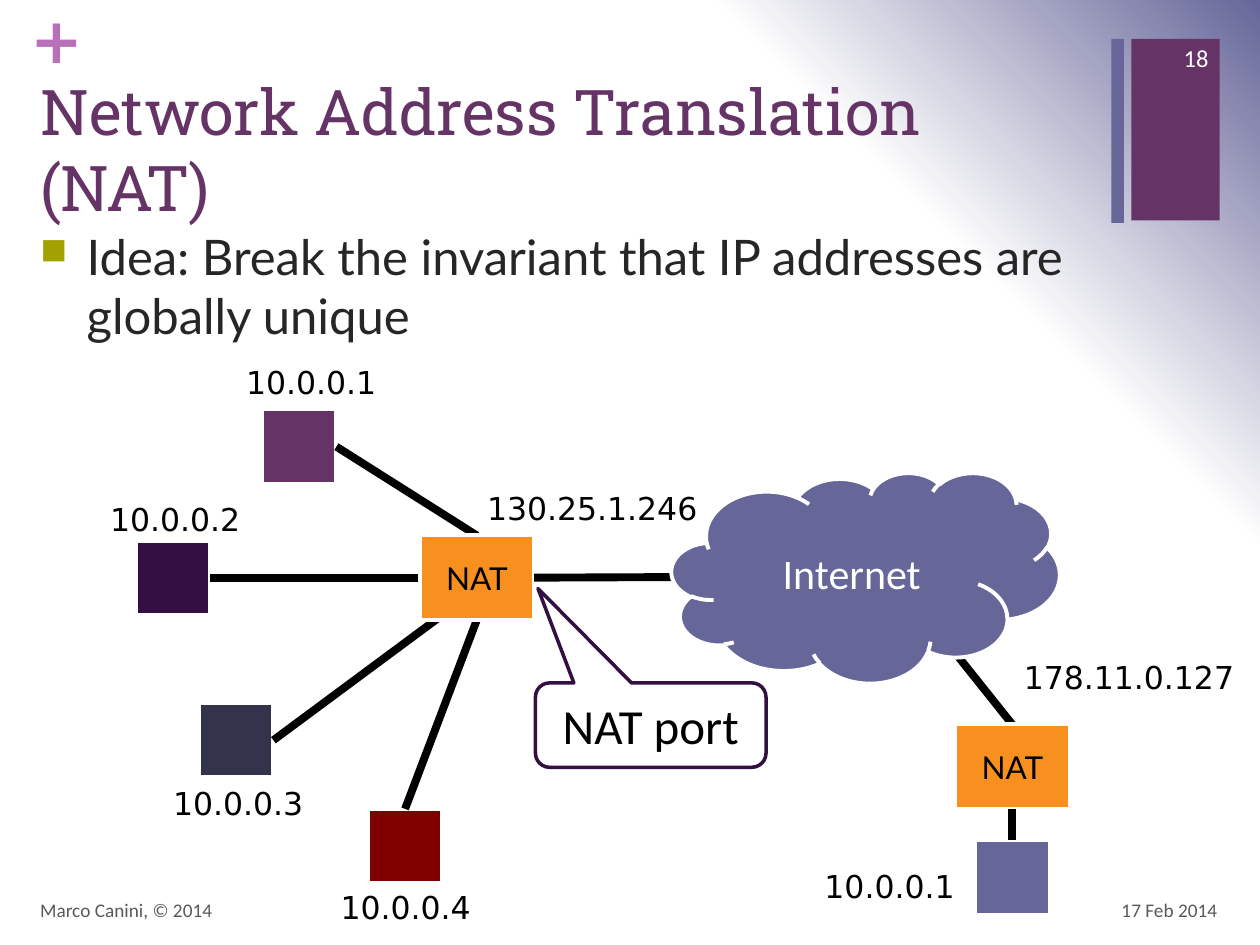
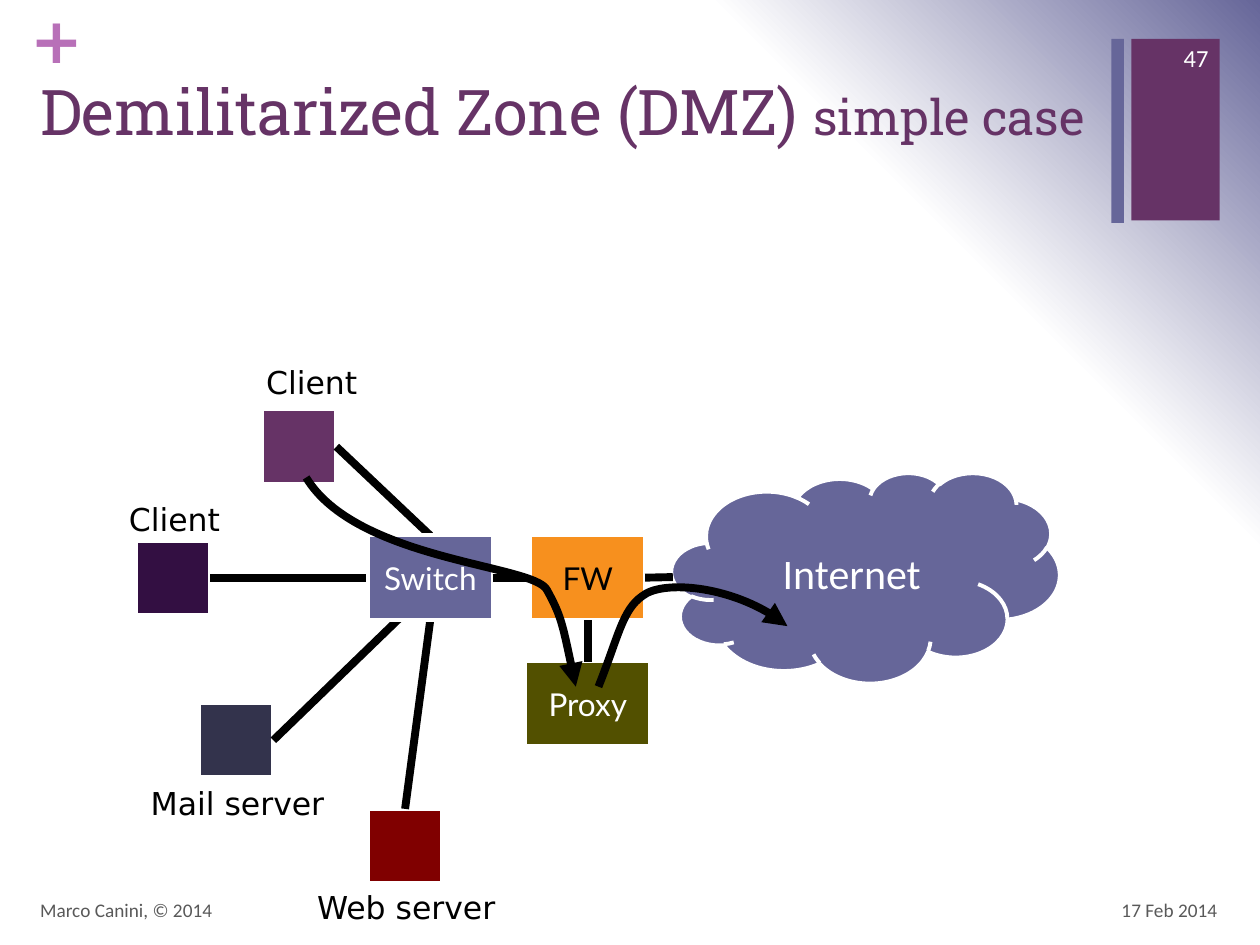
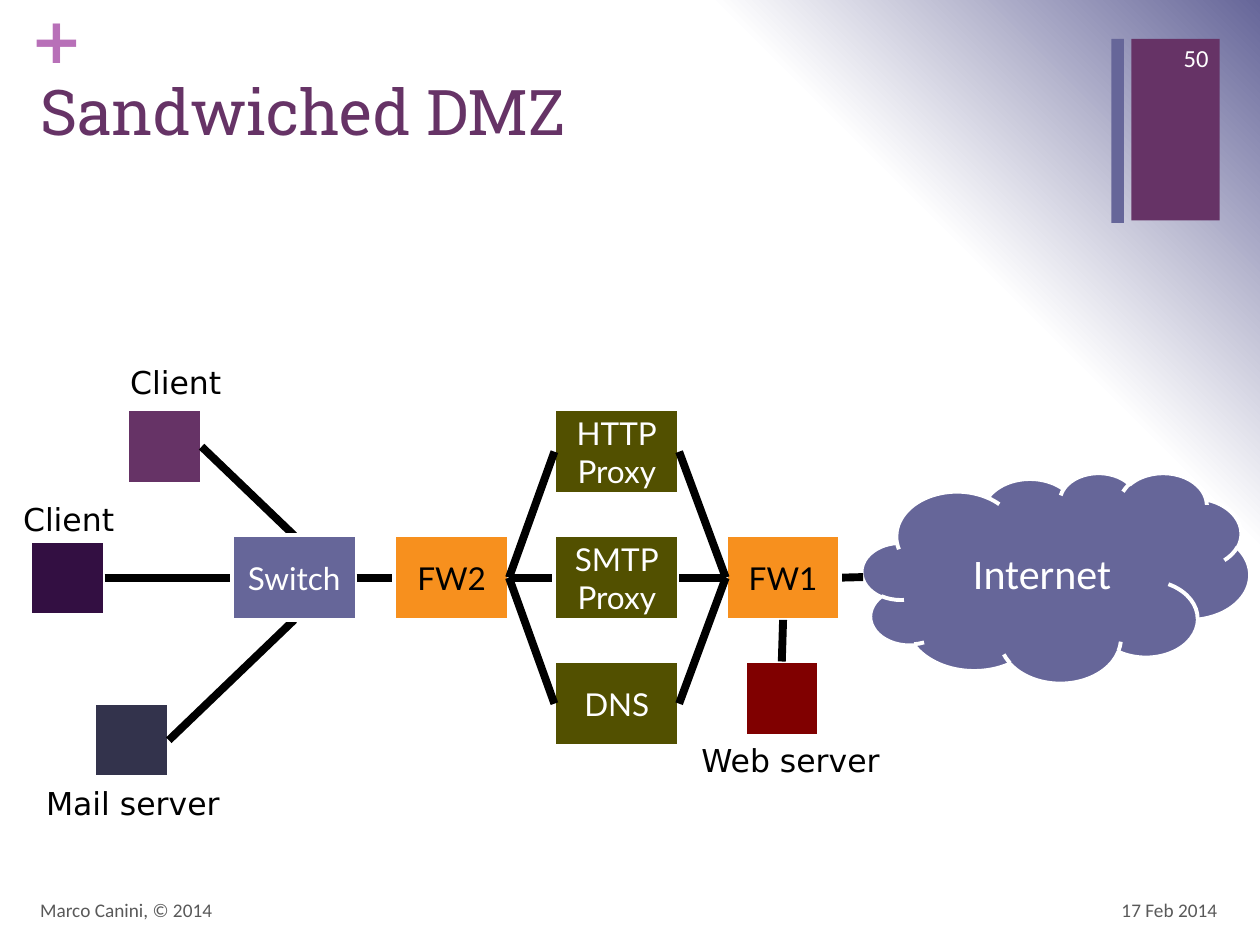
from dataclasses import dataclass

from lxml import etree
from pptx import Presentation
from pptx import util as u
from pptx.dml.color import RGBColor
from pptx.enum import shapes, text
from pptx.oxml import parse_xml
from pptx.oxml.ns import nsdecls, qn


@dataclass(frozen=True)
class Theme:
    plum: str = "663366"
    violet: str = "666699"
    grape: str = "330F42"
    slate: str = "33334C"
    maroon: str = "800000"
    orange: str = "F7901E"
    olive: str = "525000"
    lilac: str = "B870B8"
    bullet: str = "A3A101"
    ink: str = "262626"
    grey: str = "595959"
    black: str = "000000"
    white: str = "FFFFFF"
    heading: str = "Roboto Slab"
    body: str = "Lato"
    plain: str = "Calibri"
    label: str = "DejaVu Sans"
    title_size: int = 36
    large: int = 28
    cloud_size: int = 24
    node_size: int = 18
    number_size: int = 14
    footer_size: int = 11
    outline: float = 2.25
    wire: float = 4.5


T = Theme()
WIDTH, HEIGHT = 10, 7.5
AUTHOR, DATE = "Marco Canini, © 2014", "17 Feb 2014"
LEFT, CENTER, RIGHT = text.PP_ALIGN.LEFT, text.PP_ALIGN.CENTER, text.PP_ALIGN.RIGHT
TOP, MIDDLE = text.MSO_ANCHOR.TOP, text.MSO_ANCHOR.MIDDLE
SIDES = {"top": 0, "left": 1, "bottom": 2, "right": 3}
PRESET = shapes.MSO_SHAPE

HOST, GATE, WIDE = (0.59, 0.59), (0.91, 0.67), (0.99, 0.67)
NODE_FONT = (T.body, T.node_size)
KINDS = {
    "plum": (PRESET.RECTANGLE, HOST, T.plum, T.white, NODE_FONT),
    "grape": (PRESET.RECTANGLE, HOST, T.grape, T.white, NODE_FONT),
    "slate": (PRESET.RECTANGLE, HOST, T.slate, T.white, NODE_FONT),
    "maroon": (PRESET.RECTANGLE, HOST, T.maroon, T.white, NODE_FONT),
    "violet": (PRESET.RECTANGLE, HOST, T.violet, T.white, NODE_FONT),
    "gate": (PRESET.RECTANGLE, GATE, T.orange, T.black, NODE_FONT),
    "switch": (PRESET.RECTANGLE, WIDE, T.violet, T.white, NODE_FONT),
    "proxy": (PRESET.RECTANGLE, WIDE, T.olive, T.white, NODE_FONT),
    "cloud": (PRESET.CLOUD, (3.08, 1.67), T.violet, T.white, (T.plain, T.cloud_size)),
    "note": (PRESET.ROUNDED_RECTANGULAR_CALLOUT, (1.83, 0.67), T.white, T.black, (T.plain, T.large)),
}
NOTE_TIP = (-0.489, -1.618, 0.167)
LABEL_WIDTHS = {"Client": 0.93, "Mail server": 1.59, "Web server": 1.63,
                "130.25.1.246": 1.92, "178.11.0.127": 1.92}
ADDRESS_WIDTH = 1.28

ROWS = (3.25, 4.25, 5.25)
OFFICE = {
    "second": ("grape", 1.08, 4.29, ""),
    "third": ("slate", 1.58, 5.58, ""),
    "fourth": ("maroon", 2.92, 6.42, ""),
    "first": ("plum", 2.08, ROWS[0], ""),
}
CLOUD = ("cloud", 5.33, 3.75, "Internet")

SLIDES = [
    {
        "number": "18",
        "title": [("Network Address Translation (NAT)", T.title_size)],
        "idea": "Idea: Break the invariant that IP addresses are globally unique",
        "nodes": {
            "home": ("violet", 7.74, 6.67, ""),
            **OFFICE,
            "nat": ("gate", 3.33, ROWS[1], "NAT"),
            "internet": CLOUD,
            "note": ("note", 4.25, 5.42, "NAT port"),
            "homenat": ("gate", 7.58, 5.75, "NAT"),
        },
        "links": [
            ("first right", "nat top", "nat"),
            ("second right", "nat left", "nat"),
            ("third right", (3.58, 4.83), "nat"),
            ("fourth top", "nat bottom", "nat"),
            ("nat right", (5.34, 4.58), "internet"),
            ("homenat top", (7.5, 5.08), "internet"),
            ("home top", "homenat bottom", None),
        ],
        "labels": [
            ("10.0.0.1", 1.83, 2.83), ("10.0.0.2", 0.75, 3.92),
            ("10.0.0.3", 1.25, 6.17), ("10.0.0.4", 2.58, 7),
            ("130.25.1.246", 3.74, 3.83), ("10.0.0.1", 6.42, 6.83),
            ("178.11.0.127", 8, 5.17),
        ],
    },
    {
        "number": "47",
        "title": [("Demilitarized Zone (DMZ) ", T.title_size), ("simple case", T.large)],
        "nodes": {
            **OFFICE,
            "switch": ("switch", 2.92, ROWS[1], "Switch"),
            "internet": CLOUD,
            "fw": ("gate", 4.21, ROWS[1], "FW"),
            "proxy": ("proxy", 4.17, ROWS[2], "Proxy"),
        },
        "links": [
            ("first right", "switch top", "switch"),
            ("second right", "switch left", "switch"),
            ("third right", (3.25, 4.83), "switch"),
            ("fourth top", "switch bottom", "switch"),
            ("switch right", "fw left", "fw"),
            ("fw right", (5.34, 4.58), None),
            ("proxy top", "fw bottom", None),
        ],
        "flows": [
            [(4.75, 5.45), (4.91, 5.05), (4.94, 4.84), (5.1, 4.73),
             (5.25, 4.61), (5.87, 4.65), (6.25, 4.97)],
            [(2.43, 3.79), (2.83, 4.45), (4.23, 4.48), (4.34, 4.68),
             (4.45, 4.88), (4.47, 4.97), (4.57, 5.45)],
        ],
        "labels": [
            ("Client", 2.01, 2.83), ("Client", 0.92, 3.92),
            ("Mail server", 1.09, 6.17), ("Web server", 2.41, 7),
        ],
    },
    {
        "number": "50",
        "title": [("Sandwiched DMZ", T.title_size)],
        "nodes": {
            "second": ("grape", 0.24, 4.29, ""),
            "mail": ("slate", 0.75, 5.58, ""),
            "web": ("maroon", 5.91, ROWS[2], ""),
            "first": ("plum", 1.01, ROWS[0], ""),
            "switch": ("switch", 1.84, ROWS[1], "Switch"),
            "internet": ("cloud", 6.84, 3.75, "Internet"),
            "fw2": ("gate", 3.13, ROWS[1], "FW2"),
            "fw1": ("gate", 5.76, ROWS[1], "FW1"),
            "http": ("proxy", 4.4, ROWS[0], "HTTP\nProxy"),
            "smtp": ("proxy", 4.4, ROWS[1], "SMTP\nProxy"),
            "dns": ("proxy", 4.4, ROWS[2], "DNS"),
        },
        "links": [
            ("first right", "switch top", "switch"),
            ("second right", "switch left", "switch"),
            ("mail right", "switch bottom", "switch"),
            ("switch right", "fw2 left", "fw2"),
            ("fw1 right", (6.85, 4.58), "fw1"),
            ("smtp left", "fw2 right", "smtp"),
            ("web top", "fw1 bottom", None),
            ("fw1 left", "smtp right", None),
            *((f"{name} left", "fw2 right", None) for name in ("http", "dns")),
            *(("fw1 left", f"{name} right", None) for name in ("http", "dns")),
        ],
        "labels": [
            ("Client", 0.93, 2.83), ("Client", 0.08, 3.92),
            ("Mail server", 0.26, 6.17), ("Web server", 5.46, 5.83),
        ],
    },
]


def rgb(color):
    return RGBColor.from_string(color)


def inches(*values):
    return [u.Inches(value) for value in values]


def add_span(para, words, font, size, color, bold=False):
    for index, line in enumerate(words.split("\n")):
        if index:
            para.add_line_break()
        span = para.add_run()
        span.text = line
        span.font.name, span.font.size, span.font.bold = font, u.Pt(size), bold
        span.font.color.rgb = rgb(color)


def add_text(page, place, spans, font, color, align=LEFT, anchor=TOP, wrap=True, inset=None, bold=False):
    box = page.shapes.add_textbox(*inches(*place))
    frame = box.text_frame
    frame.word_wrap, frame.vertical_anchor = wrap, anchor
    if inset is not None:
        frame.margin_left = frame.margin_right = frame.margin_top = frame.margin_bottom = inset
    para = frame.paragraphs[0]
    para.alignment = align
    for words, size in spans:
        add_span(para, words, font, size, color, bold)
    return para


def add_block(page, preset, place, fill, line=None, width=T.outline):
    block = page.shapes.add_shape(preset, *inches(*place))
    block.shadow.inherit = False
    block.fill.solid()
    block.fill.fore_color.rgb = rgb(fill)
    if line:
        block.line.color.rgb, block.line.width = rgb(line), u.Pt(width)
    else:
        block.line.fill.background()
    return block


def add_background(page):
    stops = "".join(f'<a:gs pos="{share * 1000}"><a:srgbClr val="{color}"/></a:gs>'
                    for share, color in ((0, T.white), (75, T.white), (100, T.violet)))
    page.element.cSld.insert(0, parse_xml(
        f'<p:bg {nsdecls("p", "a")}><p:bgPr><a:gradFill rotWithShape="1"><a:gsLst>{stops}</a:gsLst>'
        '<a:path path="circle"><a:fillToRect t="100000" r="100000"/></a:path></a:gradFill>'
        '<a:effectLst/></p:bgPr></p:bg>'))


def add_frame(page, title, number):
    add_background(page)
    add_block(page, PRESET.RECTANGLE, (8.98, 0.31, 0.7, 1.44), T.plum)
    add_text(page, (0.24, 0, 0.29, 0.61), [("+", T.title_size)], T.label, T.lilac, inset=0, bold=True)
    add_block(page, PRESET.RECTANGLE, (8.82, 0.31, 0.1, 1.46), T.violet)
    add_text(page, (0.22, 0.53, 8.59, 1.22), title, T.heading, T.plum)
    for words, place, size, color, align in (
        (DATE, (7.43, 7.02, 2.33, 0.4), T.footer_size, T.grey, RIGHT),
        (AUTHOR, (0.22, 7.02, 6.7, 0.4), T.footer_size, T.grey, LEFT),
        (number, (9.08, 0.26, 0.61, 0.4), T.number_size, T.white, RIGHT),
    ):
        add_text(page, place, [(words, size)], T.plain, color, align, MIDDLE)


def add_idea(page, words):
    para = add_text(page, (0.22, 1.75, 9.54, 5.27), [(words, T.large)], T.body, T.ink)
    props = para._p.get_or_add_pPr()
    props.set("marL", str(u.Inches(0.37)))
    props.set("indent", str(u.Inches(-0.37)))
    color = etree.SubElement(props, qn("a:buClr"))
    etree.SubElement(color, qn("a:srgbClr"), val=T.bullet)
    etree.SubElement(props, qn("a:buSzPct"), val="75000")
    etree.SubElement(props, qn("a:buChar"), char="■")


def add_node(page, kind, left, top, words):
    preset, size, fill, color, (font, points) = KINDS[kind]
    note = kind == "note"
    node = add_block(page, preset, (left, top, *size), fill,
                     T.grape if note else T.white, 2 if note else T.outline)
    if note:
        for index, value in enumerate(NOTE_TIP):
            node.adjustments[index] = value
    if words:
        frame = node.text_frame
        frame.word_wrap, frame.vertical_anchor = True, MIDDLE
        para = frame.paragraphs[0]
        para.alignment = CENTER
        add_span(para, words, font, points, color)
    return node


def add_link(page, nodes, start, end, under):
    free = [(0, 0) if isinstance(tip, str) else tip for tip in (start, end)]
    link = page.shapes.add_connector(shapes.MSO_CONNECTOR.STRAIGHT, *inches(*free[0], *free[1]))
    for tip, connect in ((start, link.begin_connect), (end, link.end_connect)):
        if isinstance(tip, str):
            name, side = tip.split()
            connect(nodes[name], SIDES[side])
    link.line.color.rgb, link.line.width = rgb(T.black), u.Pt(T.wire)
    etree.SubElement(link.element.spPr, qn("a:effectLst"))
    if under:
        nodes[under].element.addprevious(link.element)


def add_flow(page, points):
    start, *rest = [inches(*point) for point in points]
    builder = page.shapes.build_freeform(*start)
    builder.add_line_segments(rest, close=False)
    flow = builder.convert_to_shape()
    flow.shadow.inherit = False
    flow.fill.background()
    flow.line.color.rgb, flow.line.width = rgb(T.black), u.Pt(T.wire)
    etree.SubElement(flow.line._get_or_add_ln(), qn("a:tailEnd"), type="triangle")
    segments = list(flow.element.iter(qn("a:lnTo")))
    outline = segments[0].getparent()
    for first in range(0, len(segments), 3):
        curve = etree.SubElement(outline, qn("a:cubicBezTo"))
        for segment in segments[first:first + 3]:
            curve.append(segment[0])
            outline.remove(segment)


def add_label(page, words, left, top):
    place = (left, top, LABEL_WIDTHS.get(words, ADDRESS_WIDTH), 0.4)
    add_text(page, place, [(words, T.node_size)], T.label, T.black, CENTER, wrap=False)


def main():
    deck = Presentation()
    deck.slide_width, deck.slide_height = inches(WIDTH, HEIGHT)
    for content in SLIDES:
        page = deck.slides.add_slide(deck.slide_layouts[6])
        add_frame(page, content["title"], content["number"])
        if "idea" in content:
            add_idea(page, content["idea"])
        nodes = {name: add_node(page, *node) for name, node in content["nodes"].items()}
        for link in content["links"]:
            add_link(page, nodes, *link)
        for points in content.get("flows", []):
            add_flow(page, points)
        for label in content["labels"]:
            add_label(page, *label)
    deck.save("out.pptx")


if __name__ == "__main__":
    main()
